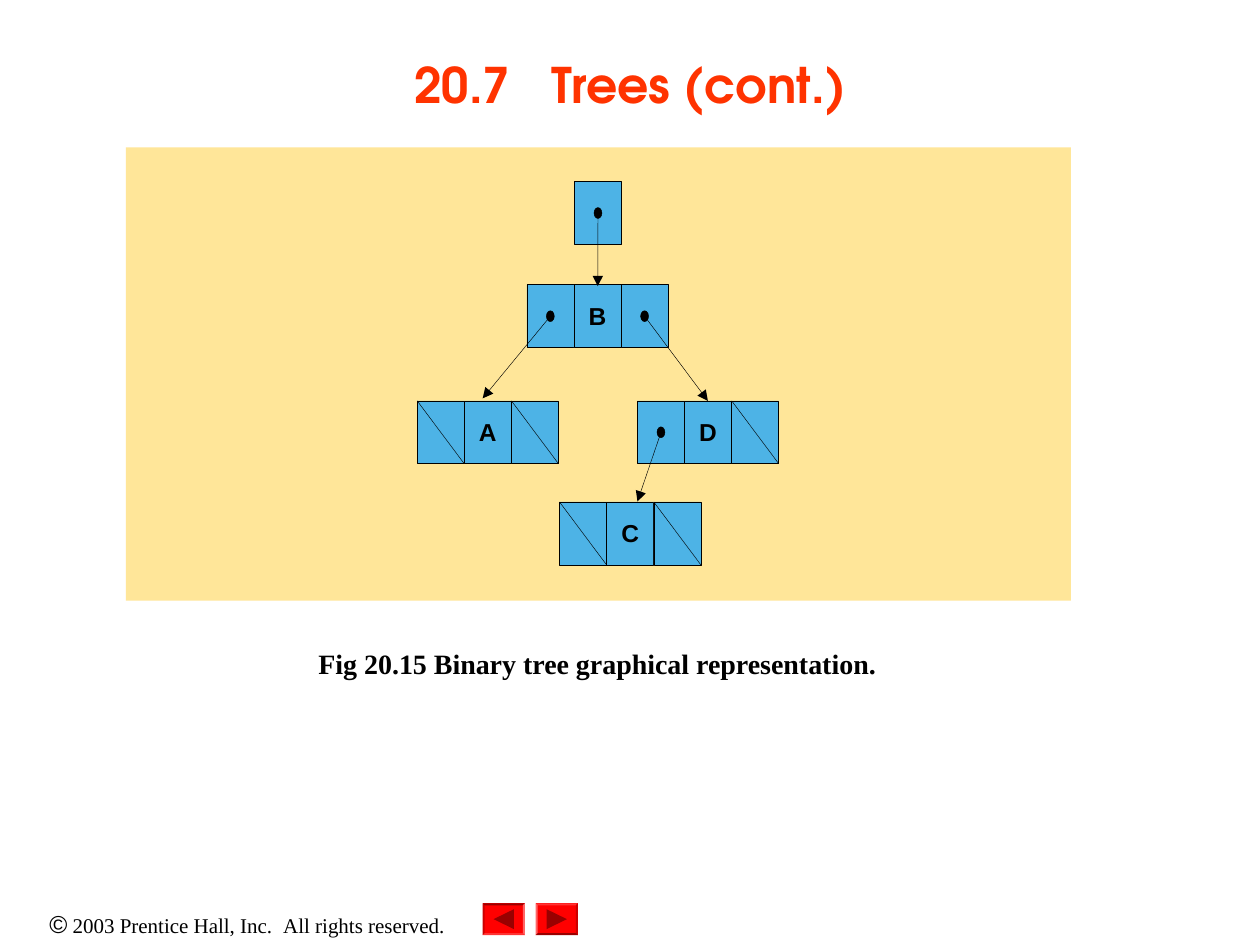
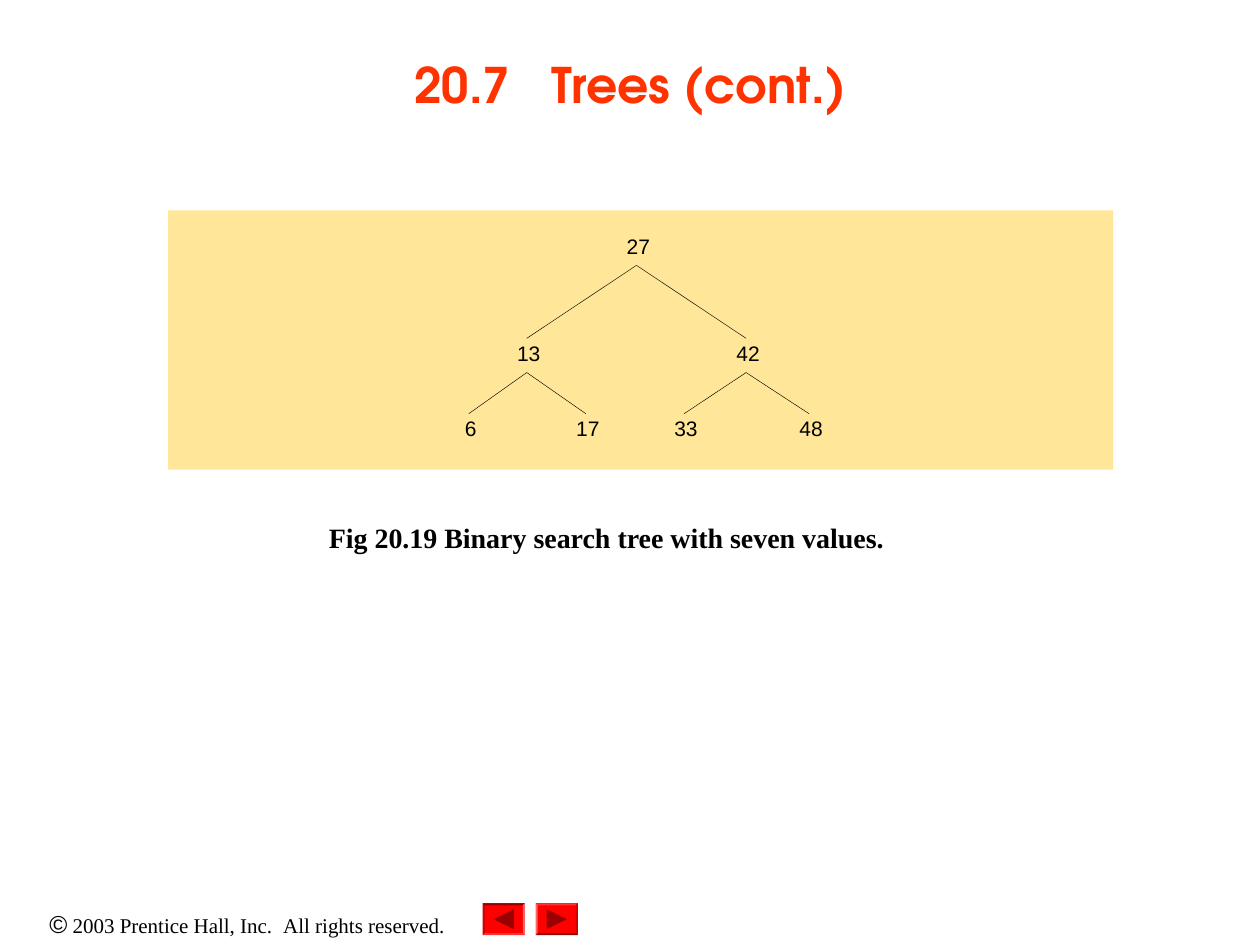
import pptx
import pptx.dml.color
import pptx.enum.shapes
import pptx.enum.text
import pptx.oxml.ns
import pptx.util
from lxml import etree
from pptx.util import Cm

COLOURS = {
    "title": "FF3300", "ink": "000000", "panel": "FFE699", "cell": "4DB3E6",
    "button": "FF0000", "button_top": "FF3333", "button_left": "FF6666",
    "button_right": "CC0000", "button_dark": "990000",
}
TITLE_FONT, LABEL_FONT, BODY_FONT = "TeX Gyre Adventor", "Arial", "Times New Roman"
HAIRLINE = 0.25
CELL_WIDTH, CELL_HEIGHT = 0.95, 1.27
LABEL_SIZE = 0.53
SHAPES = pptx.enum.shapes.MSO_SHAPE
ALIGN = pptx.enum.text.PP_ALIGN


def colour(name):
    return pptx.dml.color.RGBColor.from_string(COLOURS[name])


class TreeDeck:
    """Holds the style and the current page; all lengths are centimetres."""

    def __init__(self):
        self.deck = pptx.Presentation()
        self.deck.slide_width, self.deck.slide_height = Cm(25.4), Cm(19.05)
        self.page = None

    def new_page(self, title):
        self.page = self.deck.slides.add_slide(self.deck.slide_layouts[6])
        self.footer()
        self.title(*title)

    # Text
    def text(self, left, top, width, height, spans, font=None, size=None,
             ink="ink", bold=False, align=ALIGN.CENTER, inset=True, wrap=True):
        box = self.page.shapes.add_textbox(Cm(left), Cm(top), Cm(width), Cm(height))
        frame = box.text_frame
        frame.word_wrap = wrap
        if not inset:
            frame.margin_left = frame.margin_right = 0
            frame.margin_top = frame.margin_bottom = 0
        para = frame.paragraphs[0]
        para.alignment = align
        para.font.bold = bold
        para.font.color.rgb = colour(ink)
        if font:
            para.font.name, para.font.size = font, pptx.util.Pt(size)
        for words in spans:
            para.add_run().text = words
        return frame

    def widen(self, span, points):
        span.font._element.set("spc", str(int(points * 100)))

    def title(self, number, heading):
        frame = self.text(1.9, 0.2, 21.6, 2.97, [number, " ", heading],
                          TITLE_FONT, 28, "title", bold=True)
        frame.vertical_anchor = pptx.enum.text.MSO_ANCHOR.MIDDLE
        self.widen(frame.paragraphs[0].runs[1], 16)

    def caption(self, left, top, words):
        self.text(left, top, 11.75, 0.94, [words], BODY_FONT, 16, bold=True,
                  align=ALIGN.LEFT, wrap=False)

    def label(self, centre, top, words, size, bold=False):
        frame = self.text(centre - LABEL_SIZE / 2, top, LABEL_SIZE, LABEL_SIZE,
                          [words], LABEL_FONT, size, bold=bold, inset=False)
        frame.paragraphs[0].line_spacing = 0.8

    # Shapes and lines
    def paint(self, shape, fill, outline=None):
        shape.shadow.inherit = False
        shape.fill.solid()
        shape.fill.fore_color.rgb = colour(fill)
        if outline:
            shape.line.color.rgb = colour(outline)
            shape.line.width = pptx.util.Pt(HAIRLINE)
        else:
            shape.line.fill.background()

    def shape(self, kind, left, top, width, height, fill, outline=None):
        self.paint(self.page.shapes.add_shape(
            kind, Cm(left), Cm(top), Cm(width), Cm(height)), fill, outline)

    def panel(self, left, top, height):
        self.shape(SHAPES.RECTANGLE, left, top, 19.05, height, "panel")

    def polygon(self, points, fill):
        corners = [(Cm(x), Cm(y)) for x, y in points]
        builder = self.page.shapes.build_freeform(*corners[0])
        builder.add_line_segments(corners[1:], close=True)
        self.paint(builder.convert_to_shape(), fill)

    def line(self, start, end, arrow=False):
        connector = self.page.shapes.add_connector(
            pptx.enum.shapes.MSO_CONNECTOR.STRAIGHT,
            *(Cm(value) for value in (*start, *end)))
        connector.line.color.rgb = colour("ink")
        connector.line.width = pptx.util.Pt(HAIRLINE)
        name = pptx.oxml.ns.qn
        if arrow:
            etree.SubElement(connector.line._get_or_add_ln(),
                             name("a:tailEnd"), type="triangle")
        etree.SubElement(connector._element.spPr, name("a:effectLst"))

    # Footer with navigation buttons
    def button(self, left, top, turned=False):
        width, height, edge = 0.85, 0.64, 0.04
        right, bottom = width - edge, height - edge
        parts = [
            ("button", [(0, 0), (width, 0), (width, height), (0, height)]),
            ("button_top", [(0, 0), (width, 0), (right, edge), (edge, edge)]),
            ("button_right", [(width, 0), (width, height), (right, bottom), (right, edge)]),
            ("button_dark", [(width, height), (0, height), (edge, bottom), (right, bottom)]),
            ("button_left", [(0, height), (0, 0), (edge, edge), (edge, bottom)]),
            ("button_dark", [(0.22, 0.12), (0.63, 0.32), (0.22, 0.52)]),
        ]
        for fill, points in parts:
            if turned:
                points = [(width - x, height - y) for x, y in points]
            self.polygon([(left + x, top + y) for x, y in points], fill)

    def footer(self):
        frame = self.text(0, 18.21, 9.96, 0.86, [
            "©", " 2003 Prentice Hall, Inc.", " ", "All rights reserved."])
        spans = frame.paragraphs[0].runs
        for span in spans:
            span.font.name, span.font.size = BODY_FONT, pptx.util.Pt(12)
        spans[0].font.name, spans[0].font.size = LABEL_FONT, pptx.util.Pt(14)
        self.widen(spans[2], 3)
        self.button(10.8, 18.21)
        self.button(9.73, 18.21, turned=True)

    # Linked node: "•" is a pointer, "/" an empty pointer, else a label
    def node(self, left, top, cells):
        for index, content in enumerate(cells):
            x = left + index * CELL_WIDTH
            centre, middle = x + CELL_WIDTH / 2, top + CELL_HEIGHT / 2
            self.shape(SHAPES.RECTANGLE, x, top, CELL_WIDTH, CELL_HEIGHT, "cell", "ink")
            if content == "•":
                self.shape(SHAPES.OVAL, centre - 0.08, middle - 0.11,
                           0.16, 0.22, "ink", "ink")
            elif content == "/":
                self.line((x, top), (x + CELL_WIDTH, top + CELL_HEIGHT))
            else:
                self.label(centre, top + 0.44, content, 14, bold=True)


def pointer_tree(show):
    show.caption(6.17, 12.9, "Fig 20.15 Binary tree graphical representation.")
    show.panel(2.54, 2.97, 9.14)
    nodes = {
        "root": (11.58, 3.66, "•"),
        "B": (10.62, 5.74, "•B•"),
        "A": (8.41, 8.08, "/A/"),
        "D": (12.85, 8.08, "•D/"),
        "C": (11.28, 10.12, "/C/"),
    }
    for left, top, cells in nodes.values():
        show.node(left, top, cells)
    # Node, pointer cell, arrow tip
    pointers = [
        ("root", 0, (12.05, 5.77)),
        ("B", 0, (9.73, 8.03)),
        ("B", 2, (14.27, 8.08)),
        ("D", 0, (12.85, 10.11)),
    ]
    for name, cell, tip in pointers:
        left, top, _ = nodes[name]
        dot = (left + (cell + 0.5) * CELL_WIDTH, top + CELL_HEIGHT / 2)
        show.line(dot, tip, arrow=True)


def search_tree(show):
    show.caption(6.38, 10.36, "Fig 20.19 Binary search tree with seven values.")
    show.panel(3.39, 4.24, 5.23)
    level_tops = [4.8, 6.96, 8.48]
    # Value: centre, level, parent
    values = {
        27: (12.83, 0, None),
        13: (10.62, 1, 27),
        42: (15.04, 1, 27),
        6: (9.45, 2, 13),
        17: (11.81, 2, 13),
        33: (13.79, 2, 42),
        48: (16.31, 2, 42),
    }
    for value, (centre, level, parent) in values.items():
        top = level_tops[level]
        show.label(centre + 0.04, top, str(value), 12)
        if parent:
            parent_centre, parent_level, _ = values[parent]
            show.line((parent_centre, level_tops[parent_level] + 0.55),
                      (centre, top - 0.14))


def main():
    show = TreeDeck()
    for draw in (pointer_tree, search_tree):
        show.new_page(("20.7", "Trees (cont.)"))
        draw(show)
    show.deck.save("out.pptx")


if __name__ == "__main__":
    main()
